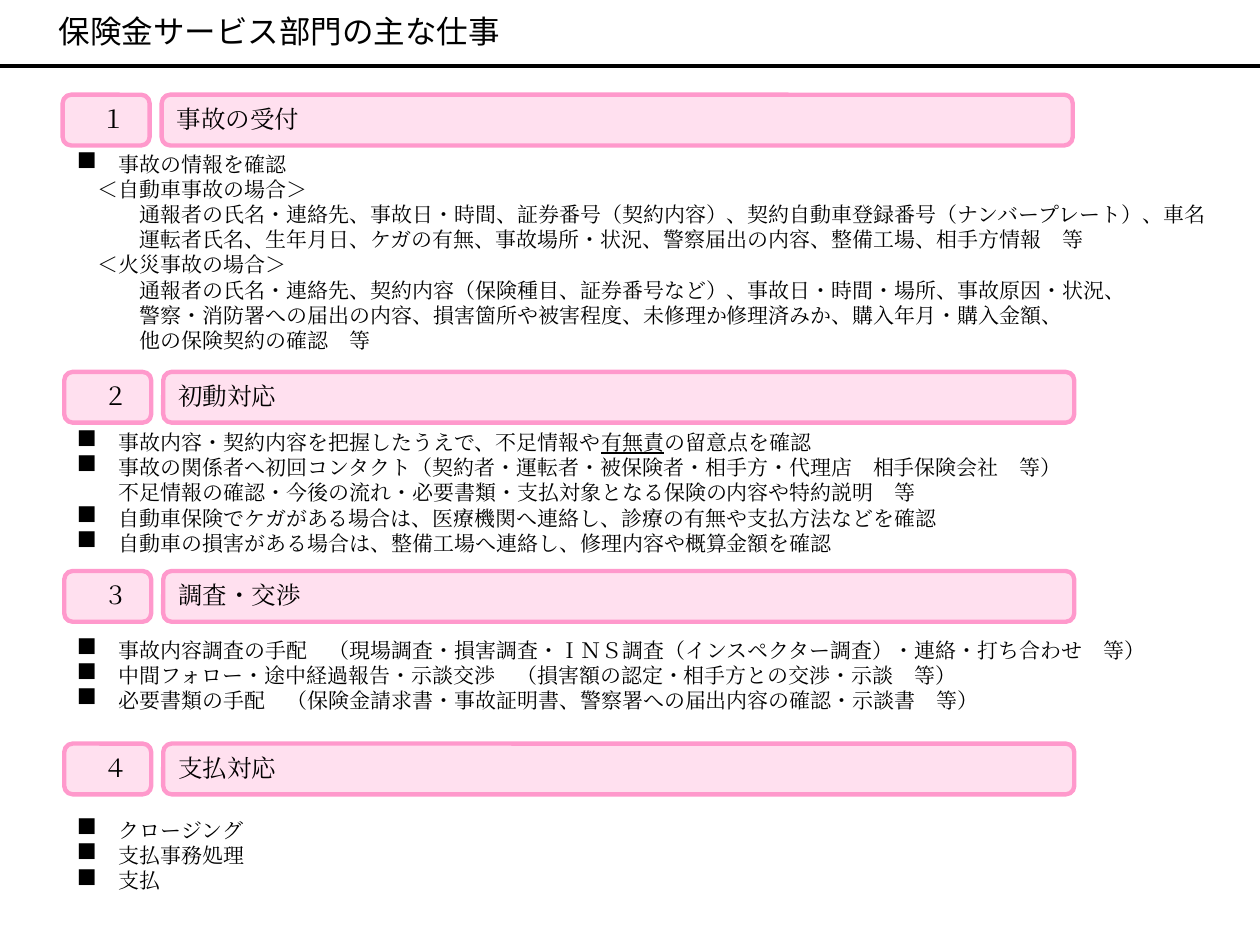
import pptx
import pptx.util
import pptx.dml.color
import pptx.enum.shapes
import pptx.enum.text
import pptx.oxml.ns
from lxml import etree

Pt = pptx.util.Pt
qn = pptx.oxml.ns.qn
RGB = pptx.dml.color.RGBColor.from_string
ANCHOR = pptx.enum.text.MSO_ANCHOR
LEFT = pptx.enum.text.PP_ALIGN.LEFT
SHAPE = pptx.enum.shapes.MSO_SHAPE

COLORS = {"text": "000000", "pink": "FF99CC"}
TITLE = {"name": "Calibri", "size": Pt(18)}
HEADING = {"name": "Times New Roman", "size": Pt(14)}
BODY = {"name": "Times New Roman", "size": Pt(12)}


def write(p, text, fmt, indent=0, bullet=False):
    """Fill a paragraph; text between underscores is underlined."""
    p.alignment = LEFT
    pPr = p._p.get_or_add_pPr()
    pPr.set("marL", str(Pt(indent)))
    pPr.set("indent", str(-Pt(indent) if bullet else 0))
    if bullet:
        etree.SubElement(pPr, qn("a:buSzPct")).set("val", "130000")
        etree.SubElement(pPr, qn("a:buChar")).set("char", "■")
    for i, part in enumerate(text.split("_")):
        r = p.add_run()
        r.text = part
        for key, value in fmt.items():
            setattr(r.font, key, value)
        r.font.color.rgb = RGB(COLORS["text"])
        if i % 2:
            r.font.underline = True
        # East Asian characters use the same typeface
        ea = etree.Element(qn("a:ea"))
        ea.set("typeface", fmt["name"])
        r._r.rPr.find(qn("a:latin")).addnext(ea)


# Sections: heading, left, top, body (top, width, height), lines (indent, text)
# An indent of 0 marks a bulleted line
sections = [
    ("事故の受付", 35.8, 54.1, (82.8, 675, 122.4), [
        (0, "事故の情報を確認"),
        (12, "＜自動車事故の場合＞"),
        (36, "通報者の氏名・連絡先、事故日・時間、証券番号（契約内容）、契約自動車登録番号（ナンバープレート）、車名"),
        (36, "運転者氏名、生年月日、ケガの有無、事故場所・状況、警察届出の内容、整備工場、相手方情報　等"),
        (12, "＜火災事故の場合＞"),
        (36, "通報者の氏名・連絡先、契約内容（保険種目、証券番号など）、事故日・時間・場所、事故原因・状況、"),
        (36, "警察・消防署への届出の内容、損害箇所や被害程度、未修理か修理済みか、購入年月・購入金額、"),
        (36, "他の保険契約の確認　等"),
    ]),
    ("初動対応", 36.7, 212.5, (241.9, 675, 79.2), [
        (0, "事故内容・契約内容を把握したうえで、不足情報や_有無責_の留意点を確認"),
        (0, "事故の関係者へ初回コンタクト（契約者・運転者・被保険者・相手方・代理店　相手保険会社　等）"),
        (24, "不足情報の確認・今後の流れ・必要書類・支払対象となる保険の内容や特約説明　等"),
        (0, "自動車保険でケガがある場合は、医療機関へ連絡し、診療の有無や支払方法などを確認"),
        (0, "自動車の損害がある場合は、整備工場へ連絡し、修理内容や概算金額を確認"),
    ]),
    ("調査・交渉", 36.7, 326.3, (360.7, 641, 50.4), [
        (0, "事故内容調査の手配　（現場調査・損害調査・ＩＮＳ調査（インスペクター調査）・連絡・打ち合わせ　等）"),
        (0, "中間フォロー・途中経過報告・示談交渉　（損害額の認定・相手方との交渉・示談　等）"),
        (0, "必要書類の手配　（保険金請求書・事故証明書、警察署への届出内容の確認・示談書　等）"),
    ]),
    ("支払対応", 36.7, 424.9, (463.7, 675, 50.4), [
        (0, "クロージング"),
        (0, "支払事務処理"),
        (0, "支払"),
    ]),
]

prs = pptx.Presentation()
prs.slide_width, prs.slide_height = Pt(720), Pt(540)
s = prs.slides.add_slide(prs.slide_layouts[5])

# Title
sp = s.shapes.title
sp.left, sp.top, sp.width, sp.height = Pt(8.4), Pt(3), Pt(684), Pt(28.8)
tf = sp.text_frame
tf.auto_size = pptx.enum.text.MSO_AUTO_SIZE.NONE
tf.vertical_anchor = ANCHOR.MIDDLE
write(tf.paragraphs[0], "保険金サービス部門の主な仕事", TITLE, 18)

# Rule under the title
ln = s.shapes.add_connector(pptx.enum.shapes.MSO_CONNECTOR.STRAIGHT,
                            Pt(0), Pt(37.6), Pt(720), Pt(37.6))
ln.line.color.rgb = RGB(COLORS["text"])
ln.line.width = Pt(2.25)
etree.SubElement(ln._element.spPr, qn("a:effectLst"))

for number, (heading, left, top, body, lines) in zip("１２３４", sections):
    # Number box and heading bar
    for text, x, width, indent in [(number, left, 49.7, 14),
                                   (heading, left + 56.6, 520.6, 0)]:
        sp = s.shapes.add_shape(SHAPE.ROUNDED_RECTANGLE,
                                Pt(x), Pt(top), Pt(width), Pt(29))
        sp.shadow.inherit = False
        sp.fill.solid()
        sp.fill.fore_color.rgb = RGB(COLORS["pink"])
        color = sp._element.spPr.find(qn("a:solidFill"))[0]
        etree.SubElement(color, qn("a:alpha")).set("val", "30000")
        sp.line.color.rgb = RGB(COLORS["pink"])
        sp.line.width = Pt(2.5)
        tf = sp.text_frame
        tf.vertical_anchor = ANCHOR.MIDDLE
        tf.margin_bottom = Pt(5)
        write(tf.paragraphs[0], text, HEADING, indent)

    # Body text
    y, width, height = body
    tf = s.shapes.add_textbox(Pt(36.7), Pt(y), Pt(width), Pt(height)).text_frame
    tf.word_wrap = True
    for i, (indent, text) in enumerate(lines):
        p = tf.add_paragraph() if i else tf.paragraphs[0]
        write(p, text, BODY, indent or 24, bullet=indent == 0)

prs.save("out.pptx")
